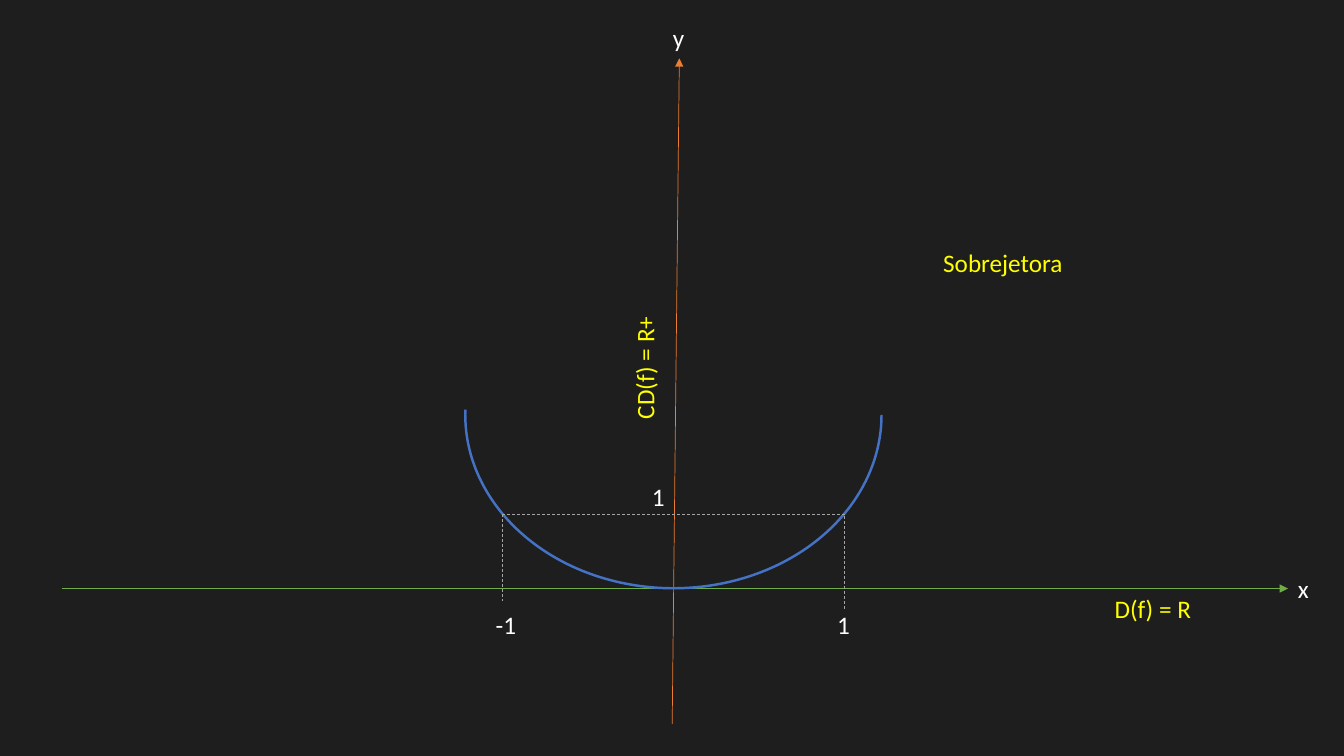
import lxml.etree
import pptx
import pptx.util
import pptx.dml.color
import pptx.enum.dml
import pptx.enum.shapes
import pptx.enum.text
import pptx.oxml.ns
from pptx.util import Cm

THEME = {
    "background": "1E1E1E", "label": "FFFFFF", "note": "FFFF00",
    "x axis": "70AD47", "y axis": "ED7D31", "guide": "A5A5A5", "curve": "4472C4",
    "font": "Calibri", "text size": 18, "thin": 0.5, "thick": 1.75,
}

# Lengths in centimetres
SLIDE_SIZE = (33.87, 19.05)
AXIS_Y = 14.83
LEFT_X, RIGHT_X, VALUE_Y = 12.67, 21.29, 12.95
LABEL_HEIGHT = 1.02
TICK_TOP = 15.24

# start, end, colour
AXES = [
    ((16.94, 18.24), (17.12, 1.47), "y axis"),
    ((1.55, AXIS_Y), (32.46, AXIS_Y), "x axis"),
]
GUIDES = [
    ((RIGHT_X, 15.34), (RIGHT_X, VALUE_Y)),
    ((RIGHT_X, VALUE_Y), (LEFT_X, VALUE_Y)),
    ((LEFT_X, VALUE_Y), (LEFT_X, 15.14)),
]
# left, top, width, height before the quarter turn
CURVE = (12.6, 5.21, 8.74, 10.49)
CURVE_ANGLES = (270, 91.41)
# text, left, top, width, colour, rotation
LABELS = [
    ("y", 16.71, 0.43, 0.81, "label", 0),
    ("x", 32.46, 14.33, 0.81, "label", 0),
    ("D(f) = R", 27.84, AXIS_Y, 2.46, "note", 0),
    ("Sobrejetora", 23.52, 6.1, 3.56, "note", 0),
    ("1", 20.85, TICK_TOP, 0.84, "label", 0),
    ("-1", 12.24, TICK_TOP, 1.04, "label", 0),
    ("1", 16.18, 12.01, 0.84, "label", 0),
    ("CD(f) = R+", 14.68, 8.74, 3.12, "note", 270),
]


def colour(name):
    return pptx.dml.color.RGBColor.from_string(THEME[name])


def style_line(line, colour_name, width_name):
    line.color.rgb = colour(colour_name)
    line.width = pptx.util.Pt(THEME[width_name])


def add_line(slide, start, end, colour_name):
    connector = slide.shapes.add_connector(
        pptx.enum.shapes.MSO_CONNECTOR.STRAIGHT, *map(Cm, start + end))
    style_line(connector.line, colour_name, "thin")
    lxml.etree.SubElement(
        connector._element.spPr, pptx.oxml.ns.qn("a:effectLst"))
    return connector


def add_axis(slide, start, end, colour_name):
    axis = add_line(slide, start, end, colour_name)
    outline = axis._element.spPr.find(pptx.oxml.ns.qn("a:ln"))
    lxml.etree.SubElement(
        outline, pptx.oxml.ns.qn("a:tailEnd"), type="triangle")


def add_guide(slide, start, end):
    guide = add_line(slide, start, end, "guide")
    guide.line.dash_style = pptx.enum.dml.MSO_LINE.DASH


def add_curve(slide):
    curve = slide.shapes.add_shape(
        pptx.enum.shapes.MSO_SHAPE.ARC, *map(Cm, CURVE))
    curve.rotation = 90
    for index, angle in enumerate(CURVE_ANGLES):
        curve.adjustments[index] = angle * 60000 / 100000
    curve.shadow.inherit = False
    curve.fill.background()
    style_line(curve.line, "curve", "thick")


def add_label(slide, text, left, top, width, colour_name, rotation):
    box = slide.shapes.add_textbox(
        Cm(left), Cm(top), Cm(width), Cm(LABEL_HEIGHT))
    box.rotation = rotation
    frame = box.text_frame
    frame.word_wrap = False
    frame.auto_size = pptx.enum.text.MSO_AUTO_SIZE.SHAPE_TO_FIT_TEXT
    frame.text = text
    font = frame.paragraphs[0].runs[0].font
    font.name = THEME["font"]
    font.size = pptx.util.Pt(THEME["text size"])
    font.color.rgb = colour(colour_name)


def main():
    deck = pptx.Presentation()
    deck.slide_width, deck.slide_height = map(Cm, SLIDE_SIZE)
    blank_layout = deck.slide_layouts[6]
    slide = deck.slides.add_slide(blank_layout)
    slide.background.fill.solid()
    slide.background.fill.fore_color.rgb = colour("background")
    for axis in AXES:
        add_axis(slide, *axis)
    add_curve(slide)
    for guide in GUIDES:
        add_guide(slide, *guide)
    for label in LABELS:
        add_label(slide, *label)
    deck.save("out.pptx")


if __name__ == "__main__":
    main()
